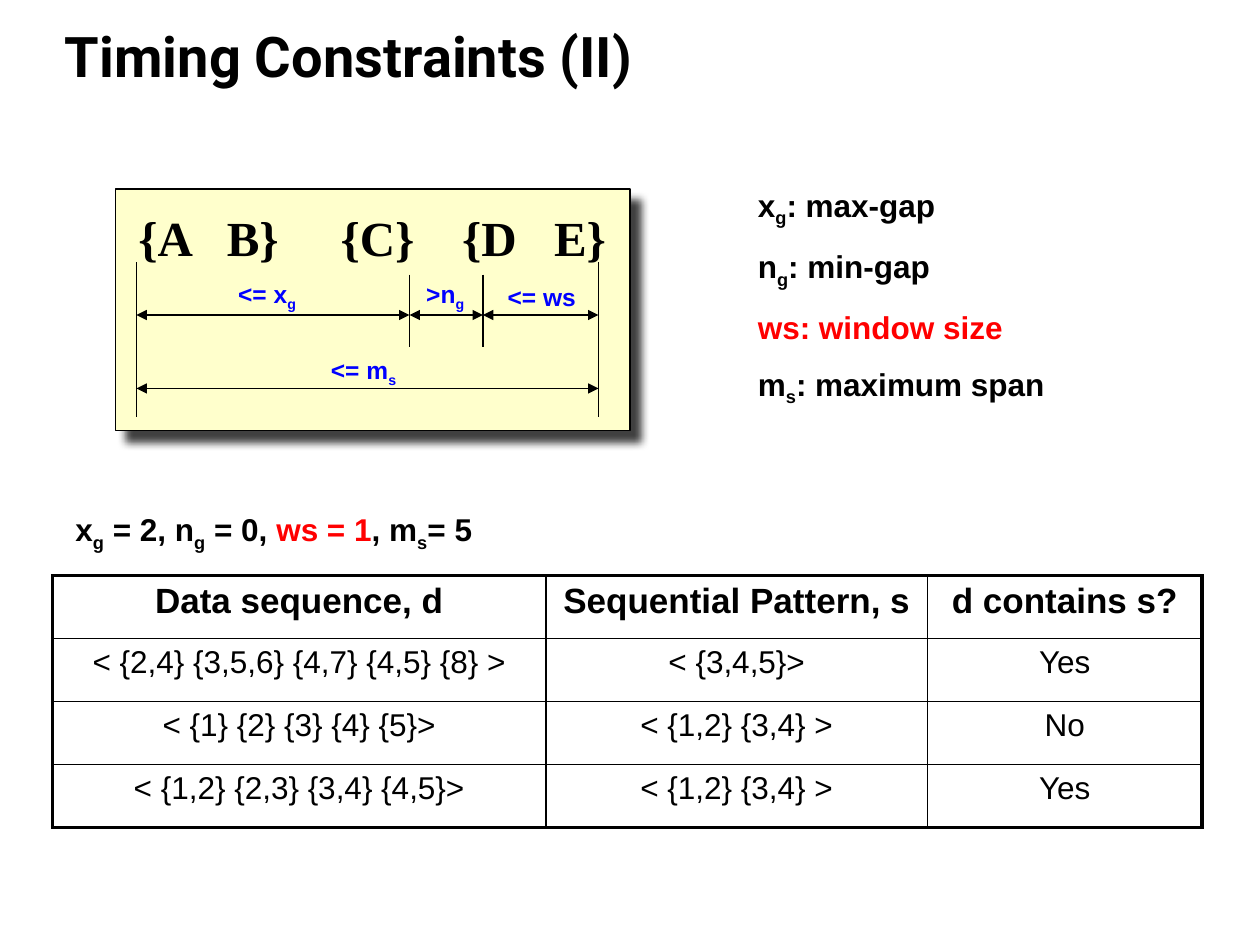
from lxml import etree
from pptx import Presentation
from pptx import util as u
from pptx.dml.color import RGBColor
from pptx.enum import shapes, text
from pptx.oxml.ns import qn

Pt = u.Pt
THEME = {
    "black": RGBColor(0, 0, 0),
    "red": RGBColor(255, 0, 0),
    "blue": RGBColor(0, 0, 255),
    "cream": RGBColor(255, 255, 204),
    "thin": 0.75, "inner": 1, "outer": 2.25,
    "title": {"name": "Roboto", "size": Pt(32), "bold": True},
    "sequence": {"name": "Times New Roman", "size": Pt(28), "bold": True},
    "label": {"name": "Arial", "size": Pt(14), "bold": True},
    "body": {"name": "Arial", "size": Pt(18), "bold": True},
    "header": {"name": "Arial", "size": Pt(20), "bold": True},
    "cell": {"name": "Arial", "size": Pt(18), "bold": False},
}
SPACED = {"space_before": Pt(2), "space_after": Pt(8.5)}

# A line of text is a list of runs: plain text, or (text, "sub" or a colour name).
TITLE = [["Timing Constraints (II)"]]
SEQUENCE = [["{A\tB}\t{C}\t{D\tE}"]]
SEQUENCE_TABS = [50.5, 115.5, 185, 237.5]
DEFINITIONS = [
    ["x", ("g", "sub"), ": max-gap"],
    ["n", ("g", "sub"), ": min-gap"],
    [("ws: window size", "red")],
    ["m", ("s", "sub"), ": maximum span"],
]
PARAMETERS = [["x", ("g", "sub"), " = 2, n", ("g", "sub"), " = 0, ",
               ("ws = 1", "red"), ", m", ("s", "sub"), "= 5"]]

START, GAP_START, GAP_END, END = 78, 234, 276, 342
GAP_Y, SPAN_Y = 180, 222
LABELS = [  # runs, left, top, width
    (["<= m", ("s", "sub")], 182, 199.5, 56),
    (["<= x", ("g", "sub")], 129, 156, 50),
    ([">n", ("g", "sub")], 236.5, 156, 39),
    (["<= ws"], 283, 157.5, 57),
]
ARROWS = [(START, END, SPAN_Y), (START, GAP_START, GAP_Y),
          (GAP_START, GAP_END, GAP_Y), (GAP_END, END, GAP_Y)]
TICKS = [(START, 150, 238.5), (GAP_START, 157, 198),
         (GAP_END, 157, 198), (END, 150, 238.5)]

COLUMN_WIDTHS = [282, 218, 157]
ROW_HEIGHT = 36
ROWS = [
    ("Data sequence, d", "Sequential Pattern, s", "d contains s?"),
    ("< {2,4} {3,5,6} {4,7} {4,5} {8} >", "< {3,4,5}>", "Yes"),
    ("< {1} {2} {3} {4} {5}>", "< {1,2} {3,4} >", "No"),
    ("< {1,2} {2,3} {3,4} {4,5}>", "< {1,2} {3,4} >", "Yes"),
]


def set_all(target, values):
    for name, value in values.items():
        setattr(target, name, value)


def add_element(parent, tag, **attributes):
    return etree.SubElement(parent, qn(tag), attributes)


def write(frame, lines, style, color="black", spacing=None, tabs=()):
    for index, runs in enumerate(lines):
        paragraph = frame.paragraphs[0] if index == 0 else frame.add_paragraph()
        if tabs:
            tab_list = add_element(paragraph._p.get_or_add_pPr(), "a:tabLst")
            for position in tabs:
                add_element(tab_list, "a:tab", pos=str(Pt(position)), algn="l")
        set_all(paragraph, spacing or {})
        if index == 0:
            paragraph.space_before = Pt(0)
        for item in runs:
            content, role = (item, color) if isinstance(item, str) else item
            run = paragraph.add_run()
            run.text = content
            set_all(run.font, THEME[style])
            run.font.color.rgb = THEME[color if role == "sub" else role]
            if role == "sub":
                run._r.get_or_add_rPr().set("baseline", "-25000")


def add_text(parent, box, lines, style, wrap=True, fill=None, frame_format=None, **options):
    shape = parent.shapes.add_textbox(*map(Pt, box))
    if fill:
        shape.fill.solid()
        shape.fill.fore_color.rgb = THEME[fill]
    set_all(shape.text_frame, {"word_wrap": wrap, **(frame_format or {})})
    write(shape.text_frame, lines, style, **options)


def add_line(parent, start, end, arrows=False):
    line = parent.shapes.add_connector(shapes.MSO_CONNECTOR.STRAIGHT,
                                       *map(Pt, start + end))
    line.line.color.rgb = THEME["black"]
    line.line.width = Pt(THEME["thin"])
    if arrows:
        outline = line.line._get_or_add_ln()
        for tag in ("a:headEnd", "a:tailEnd"):
            add_element(outline, tag, type="triangle")
    add_element(line._element.spPr, "a:effectLst")


def add_panel(parent):
    panel = parent.shapes.add_shape(shapes.MSO_SHAPE.RECTANGLE,
                                    *map(Pt, (66, 108, 294, 138)))
    panel.fill.solid()
    panel.fill.fore_color.rgb = THEME["cream"]
    panel.line.color.rgb = THEME["black"]
    panel.line.width = Pt(THEME["thin"])
    panel.shadow.inherit = False
    effects = panel._element.spPr.find(qn("a:effectLst"))
    shadow = add_element(effects, "a:outerShdw", blurRad=str(Pt(5)), dist=str(Pt(8.5)),
                         dir="2700000", algn="tl", rotWithShape="0")
    add_element(add_element(shadow, "a:srgbClr", val=str(THEME["black"])),
                "a:alpha", val="75000")


def add_diagram(slide):
    group = slide.shapes.add_group_shape()
    add_panel(group)
    add_text(group, (72, 115, 284, 41), SEQUENCE, "sequence", fill="cream",
             frame_format={"margin_right": 0}, tabs=SEQUENCE_TABS)
    for runs, left, top, width in LABELS:
        add_text(group, (left, top, width, 24), [runs], "label", fill="cream",
                 wrap=False, frame_format={"margin_right": 0}, color="blue")
    for left, right, y in ARROWS:
        add_line(group, (left, y), (right, y), arrows=True)
    for x, top, bottom in TICKS:
        add_line(group, (x, top), (x, bottom))


def set_borders(cell, outer_sides):
    properties = cell._tc.get_or_add_tcPr()
    for side in "LRTB":
        width = THEME["outer" if side in outer_sides else "inner"]
        line = add_element(properties, f"a:ln{side}", w=str(Pt(width)))
        add_element(add_element(line, "a:solidFill"), "a:srgbClr", val=str(THEME["black"]))


def add_sequence_table(slide):
    row_count, column_count = len(ROWS), len(COLUMN_WIDTHS)
    table = slide.shapes.add_table(row_count, column_count, Pt(30), Pt(329),
                                   Pt(sum(COLUMN_WIDTHS)), Pt(ROW_HEIGHT * row_count)).table
    set_all(table, {"first_row": False, "horz_banding": False})
    for column, width in zip(table.columns, COLUMN_WIDTHS):
        column.width = Pt(width)
    spacing = {"alignment": text.PP_ALIGN.CENTER, "space_after": Pt(4)}
    for i, row in enumerate(ROWS):
        table.rows[i].height = Pt(ROW_HEIGHT)
        for j, content in enumerate(row):
            cell = table.cell(i, j)
            edges = {"L": j == 0, "R": j == column_count - 1,
                     "T": i == 0, "B": i == row_count - 1}
            set_borders(cell, [side for side, is_outer in edges.items() if is_outer])
            cell.fill.background()
            write(cell.text_frame, [[content]], "header" if i == 0 else "cell",
                  spacing=spacing)


def main():
    presentation = Presentation()
    set_all(presentation, {"slide_width": Pt(720), "slide_height": Pt(540)})
    slide = presentation.slides.add_slide(presentation.slide_layouts[6])
    add_text(slide, (30, 12, 652, 42), TITLE, "title", spacing={"line_spacing": Pt(36)},
             frame_format={"vertical_anchor": text.MSO_ANCHOR.BOTTOM})
    add_diagram(slide)
    add_text(slide, (426, 102.5, 246, 132), DEFINITIONS, "body", spacing=SPACED)
    add_sequence_table(slide)
    add_text(slide, (36, 288, 618, 29), PARAMETERS, "body", spacing=SPACED)
    presentation.save("out.pptx")


if __name__ == "__main__":
    main()
